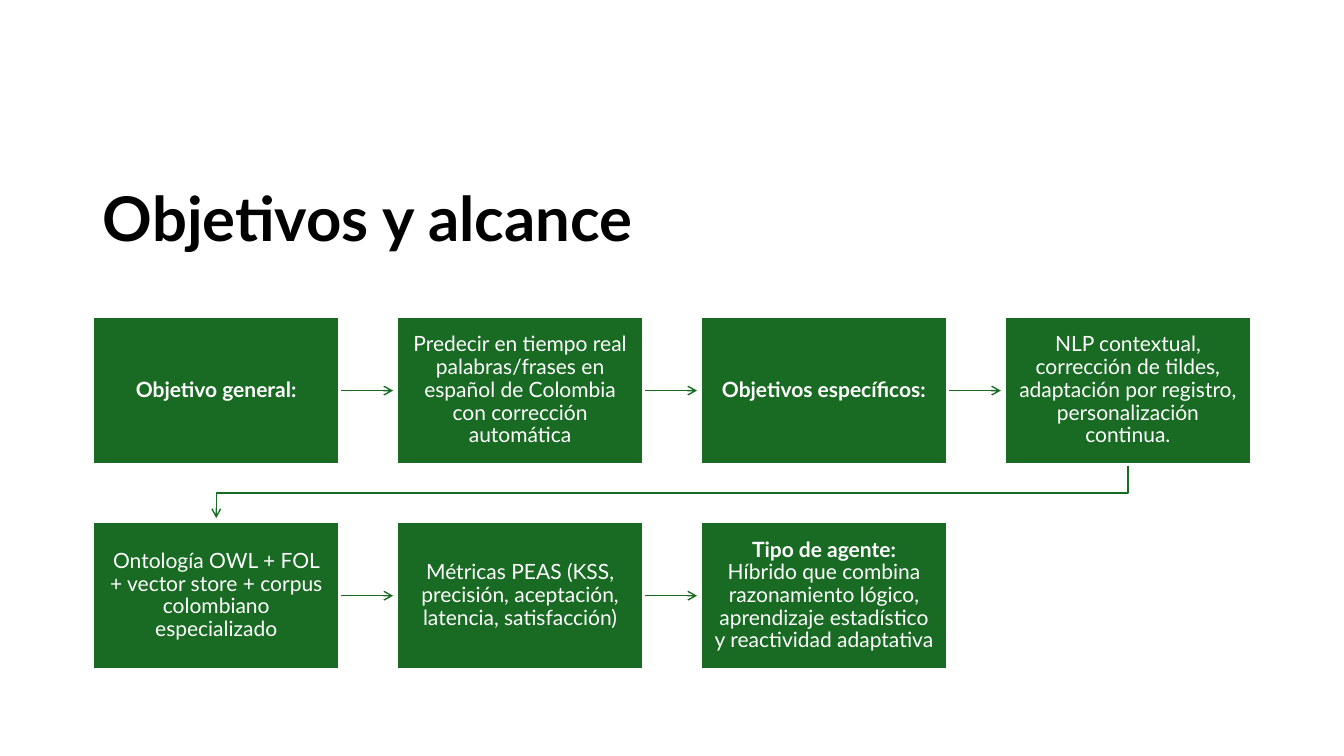
from dataclasses import dataclass

from pptx import Presentation
from pptx.dml.color import RGBColor
from pptx.enum.shapes import MSO_CONNECTOR, MSO_SHAPE
from pptx.enum.text import MSO_ANCHOR, MSO_AUTO_SIZE, PP_ALIGN
from pptx.oxml.ns import qn
from pptx.util import Inches, Pt
from lxml import etree

STRAIGHT, RECT = MSO_CONNECTOR.STRAIGHT, MSO_SHAPE.RECTANGLE
MIDDLE, NO_FIT = MSO_ANCHOR.MIDDLE, MSO_AUTO_SIZE.NONE
LEFT, CENTER = PP_ALIGN.LEFT, PP_ALIGN.CENTER


@dataclass(frozen=True)
class Theme:
    font: str = "Lato"
    green: RGBColor = RGBColor(0x19, 0x6B, 0x24)
    white: RGBColor = RGBColor(0xFF, 0xFF, 0xFF)
    black: RGBColor = RGBColor(0, 0, 0)
    title_size: int = 44
    step_size: int = 15
    line_spacing: float = 0.9


THEME = Theme()

# Grid of steps, in inches
COLUMNS = 4
GRID_LEFT, GRID_TOP = 0.92, 3.14
BOX_W, BOX_H = 2.45, 1.47
PITCH_X, PITCH_Y = 3.014, 2.035
ARROW_GAP = 0.035

# Each step: heading in bold, then body
STEPS = [
    ("Objetivo general:", ""),
    ("", "Predecir en tiempo real palabras/frases en español de Colombia "
         "con corrección automática"),
    ("Objetivos específicos:", ""),
    ("", "NLP contextual, corrección de tildes, adaptación por registro, "
         "personalización continua."),
    ("", "Ontología OWL + FOL + vector store + corpus colombiano especializado"),
    ("", "Métricas PEAS (KSS, precisión, aceptación, latencia, satisfacción)"),
    ("Tipo de agente:", "Híbrido que combina razonamiento lógico, "
                        "aprendizaje estadístico y reactividad adaptativa"),
]


def style_paragraph(p, size, color, align):
    p.alignment = align
    p.line_spacing = THEME.line_spacing
    for r in p.runs:
        r.font.name = THEME.font
        r.font.size = Pt(size)
        r.font.color.rgb = color


def add_title(s, text):
    title = s.shapes.title
    title.left, title.top = Inches(0.92), Inches(1.47)
    title.width, title.height = Inches(11.5), Inches(1.45)
    tf = title.text_frame
    tf.text = text
    tf.word_wrap = True
    tf.auto_size = NO_FIT
    tf.vertical_anchor = MIDDLE
    p = tf.paragraphs[0]
    style_paragraph(p, THEME.title_size, THEME.black, LEFT)
    p.runs[0].font.bold = True


def add_step(s, x, y, heading, body):
    box = s.shapes.add_shape(RECT, Inches(x), Inches(y), Inches(BOX_W), Inches(BOX_H))
    box.shadow.inherit = False
    box.fill.solid()
    box.fill.fore_color.rgb = THEME.green
    box.line.color.rgb = THEME.white
    box.line.width = Pt(2)
    tf = box.text_frame
    tf.word_wrap = True
    tf.vertical_anchor = MIDDLE
    tf.margin_left = tf.margin_right = Inches(0.12)
    tf.margin_top = tf.margin_bottom = Inches(0.13)
    p = tf.paragraphs[0]
    p.text = "\v".join(part for part in (heading, body) if part)
    style_paragraph(p, THEME.step_size, THEME.white, CENTER)
    p.runs[0].font.bold = bool(heading)


def style_arrow(line):
    line.color.rgb = THEME.green
    line.width = Pt(1)
    ln = line._get_or_add_ln()
    etree.SubElement(ln, qn("a:tailEnd"), type="arrow")


def add_arrow(s, x1, x2, y):
    arrow = s.shapes.add_connector(STRAIGHT, Inches(x1), Inches(y), Inches(x2), Inches(y))
    style_arrow(arrow.line)
    etree.SubElement(arrow._element.spPr, qn("a:effectLst"))


def add_return_arrow(s, points):
    start, *rest = [(Inches(x), Inches(y)) for x, y in points]
    builder = s.shapes.build_freeform(*start)
    builder.add_line_segments(rest, close=False)
    arrow = builder.convert_to_shape()
    arrow.shadow.inherit = False
    arrow.fill.background()
    style_arrow(arrow.line)


def step_position(index):
    row, col = divmod(index, COLUMNS)
    return GRID_LEFT + col * PITCH_X, GRID_TOP + row * PITCH_Y


def add_link(s, index):
    """Arrow from one step to the next, wrapping at the end of a row."""
    x, y = step_position(index)
    next_x, next_y = step_position(index + 1)
    if next_y == y:
        add_arrow(s, x + BOX_W, next_x - ARROW_GAP, y + BOX_H / 2)
    else:
        start_x, end_x = x + BOX_W / 2, next_x + BOX_W / 2
        bottom = y + BOX_H
        middle = (bottom + next_y) / 2
        add_return_arrow(s, [(start_x, bottom), (start_x, middle),
                             (end_x, middle), (end_x, next_y - ARROW_GAP)])


def main():
    prs = Presentation()
    prs.slide_width, prs.slide_height = Inches(13.33), Inches(7.5)
    s = prs.slides.add_slide(prs.slide_layouts[5])

    # Title
    add_title(s, "Objetivos y alcance")

    # Arrows lie behind the boxes
    for i in range(len(STEPS) - 1):
        add_link(s, i)

    # Steps
    for i, (heading, body) in enumerate(STEPS):
        add_step(s, *step_position(i), heading, body)

    prs.save("out.pptx")


if __name__ == "__main__":
    main()
